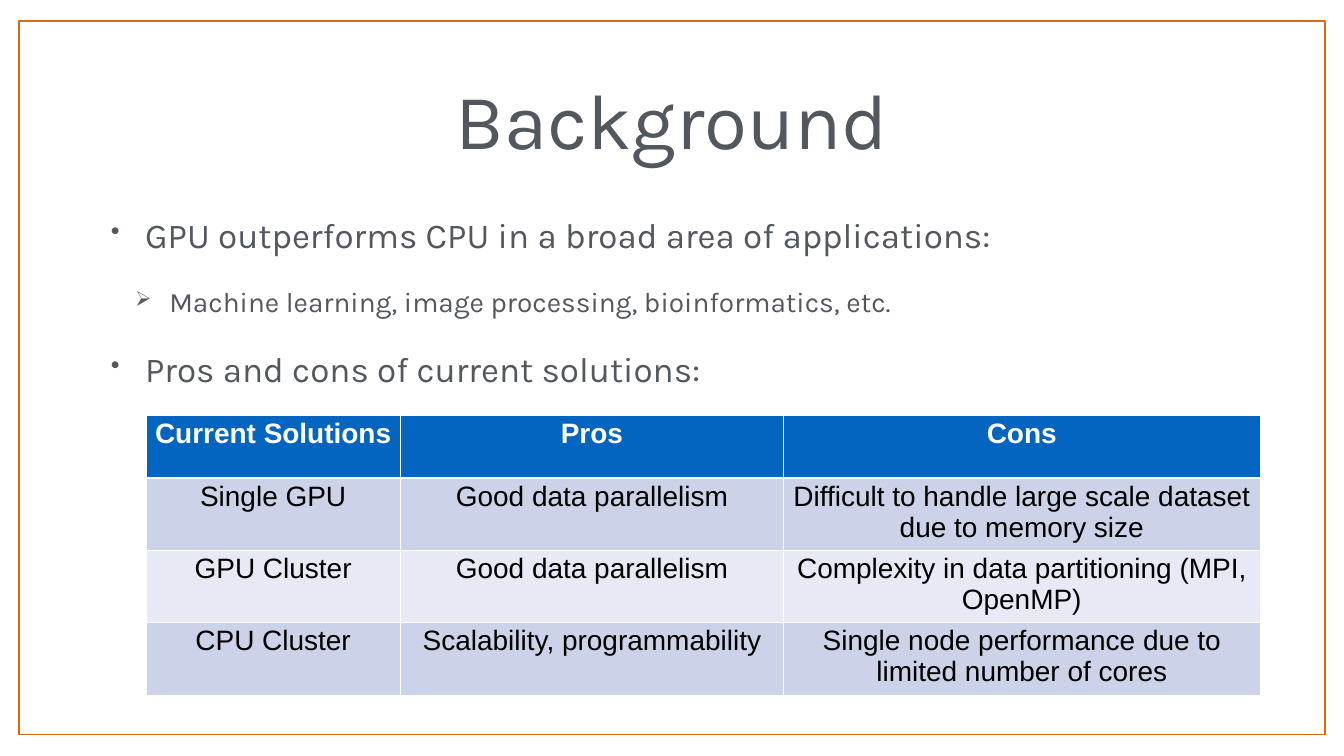
from dataclasses import dataclass

from lxml.etree import SubElement
from pptx import Presentation
from pptx.dml.color import RGBColor
from pptx.enum.shapes import MSO_SHAPE
from pptx.enum.text import MSO_ANCHOR, PP_ALIGN
from pptx.oxml.ns import qn
from pptx.slide import Slide
from pptx.table import _Cell
from pptx.text.text import TextFrame, _Paragraph
from pptx.util import Inches, Pt

ORANGE = RGBColor(0xDE, 0x6A, 0x10)
SLATE = RGBColor(0x53, 0x58, 0x5F)
BLUE = RGBColor(0x03, 0x65, 0xC0)
BAND_DARK = RGBColor(0xCC, 0xD3, 0xE8)
BAND_LIGHT = RGBColor(0xE7, 0xEA, 0xF4)
WHITE = RGBColor(0xFF, 0xFF, 0xFF)
BLACK = RGBColor(0x00, 0x00, 0x00)

HANGING = 0.68
COLUMN_WIDTHS = (5.04, 7.61, 9.45)
ROW_HEIGHT = 1.25


@dataclass(frozen=True)
class Bullet:
    text: str
    level: int = 0
    space_before: float = 42


BULLETS = (
    Bullet("GPU outperforms CPU in a broad area of applications:", space_before=23),
    Bullet("Machine learning, image processing, bioinformatics, etc.", level=1),
    Bullet("Pros and cons of current solutions:"),
)


@dataclass(frozen=True)
class Solution:
    name: str
    pros: str
    cons: str


HEADER = Solution("Current Solutions", "Pros", "Cons")
SOLUTIONS = (
    Solution("Single GPU", "Good data parallelism",
             "Difficult to handle large scale dataset due to memory size"),
    Solution("GPU Cluster", "Good data parallelism",
             "Complexity in data partitioning (MPI, OpenMP)"),
    Solution("CPU Cluster", "Scalability, programmability",
             "Single node performance due to limited number of cores"),
)


def add_span(para: _Paragraph, text: str, size: float, font: str,
             color: RGBColor, bold: bool = False) -> None:
    span = para.add_run()
    span.text = text
    span.font.size = Pt(size)
    span.font.name = font
    span.font.bold = bold
    span.font.color.rgb = color


def add_box(page: Slide, left: float, top: float, width: float, height: float,
            anchor: MSO_ANCHOR) -> TextFrame:
    box = page.shapes.add_textbox(
        Inches(left), Inches(top), Inches(width), Inches(height))
    frame = box.text_frame
    frame.word_wrap = True
    frame.vertical_anchor = anchor
    frame.margin_left = frame.margin_right = 0
    frame.margin_top = frame.margin_bottom = 0
    return frame


def add_border(page: Slide) -> None:
    border = page.shapes.add_shape(
        MSO_SHAPE.RECTANGLE,
        Inches(0.38), Inches(0.42), Inches(25.91), Inches(14.16))
    border.shadow.inherit = False
    border.fill.background()
    border.line.color.rgb = ORANGE
    border.line.width = Pt(2)


def add_title(page: Slide, text: str) -> None:
    para = add_box(page, 4.8, 0.68, 17.07, 3.32, MSO_ANCHOR.MIDDLE).paragraphs[0]
    para.alignment = PP_ALIGN.CENTER
    add_span(para, text, 112, "Karla", SLATE)


def add_bullets(page: Slide, bullets: tuple[Bullet, ...]) -> None:
    frame = add_box(page, 2.2, 4.23, 22.13, 4.92, MSO_ANCHOR.TOP)
    for index, bullet in enumerate(bullets):
        para = frame.add_paragraph() if index else frame.paragraphs[0]
        para.level = bullet.level
        para.space_before = Pt(bullet.space_before)
        properties = para._p.get_or_add_pPr()
        properties.set("marL", str(Inches(HANGING + 0.48 * bullet.level)))
        properties.set("indent", str(Inches(-HANGING)))
        SubElement(properties, qn("a:buSzPct"), val="75000")
        SubElement(properties, qn("a:buChar"), char="•➢"[bullet.level])
        add_span(para, bullet.text, 50 - 10 * bullet.level, "Karla", SLATE)


def set_borders(cell: _Cell, bottom: float) -> None:
    properties = cell._tc.get_or_add_tcPr()
    edges = {"a:lnL": 1, "a:lnR": 1, "a:lnT": 1, "a:lnB": bottom}
    for tag, width in edges.items():
        line = SubElement(properties, qn(tag), w=str(Pt(width)))
        fill = SubElement(line, qn("a:solidFill"))
        SubElement(fill, qn("a:srgbClr"), val=str(WHITE))


def fill_cell(cell: _Cell, text: str, fill: RGBColor, header: bool) -> None:
    set_borders(cell, 3 if header else 1)
    cell.fill.solid()
    cell.fill.fore_color.rgb = fill
    para = cell.text_frame.paragraphs[0]
    para.alignment = PP_ALIGN.CENTER
    add_span(para, text, 40, "Arial", WHITE if header else BLACK, header)


def add_solutions(page: Slide, solutions: tuple[Solution, ...]) -> None:
    rows = (HEADER, *solutions)
    table = page.shapes.add_table(
        len(rows), len(COLUMN_WIDTHS), Inches(2.9), Inches(8.24),
        Inches(sum(COLUMN_WIDTHS)), Inches(ROW_HEIGHT * len(rows))).table
    for column, width in zip(table.columns, COLUMN_WIDTHS):
        column.width = Inches(width)
    for index, row in enumerate(rows):
        header = index == 0
        band = BAND_DARK if index % 2 else BAND_LIGHT
        for column, text in enumerate((row.name, row.pros, row.cons)):
            fill_cell(table.cell(index, column), text, BLUE if header else band, header)


def main() -> None:
    deck = Presentation()
    deck.slide_width = Inches(26.67)
    deck.slide_height = Inches(15)
    page = deck.slides.add_slide(deck.slide_layouts[6])
    add_border(page)
    add_title(page, "Background")
    add_bullets(page, BULLETS)
    add_solutions(page, SOLUTIONS)
    deck.save("out.pptx")


if __name__ == "__main__":
    main()
